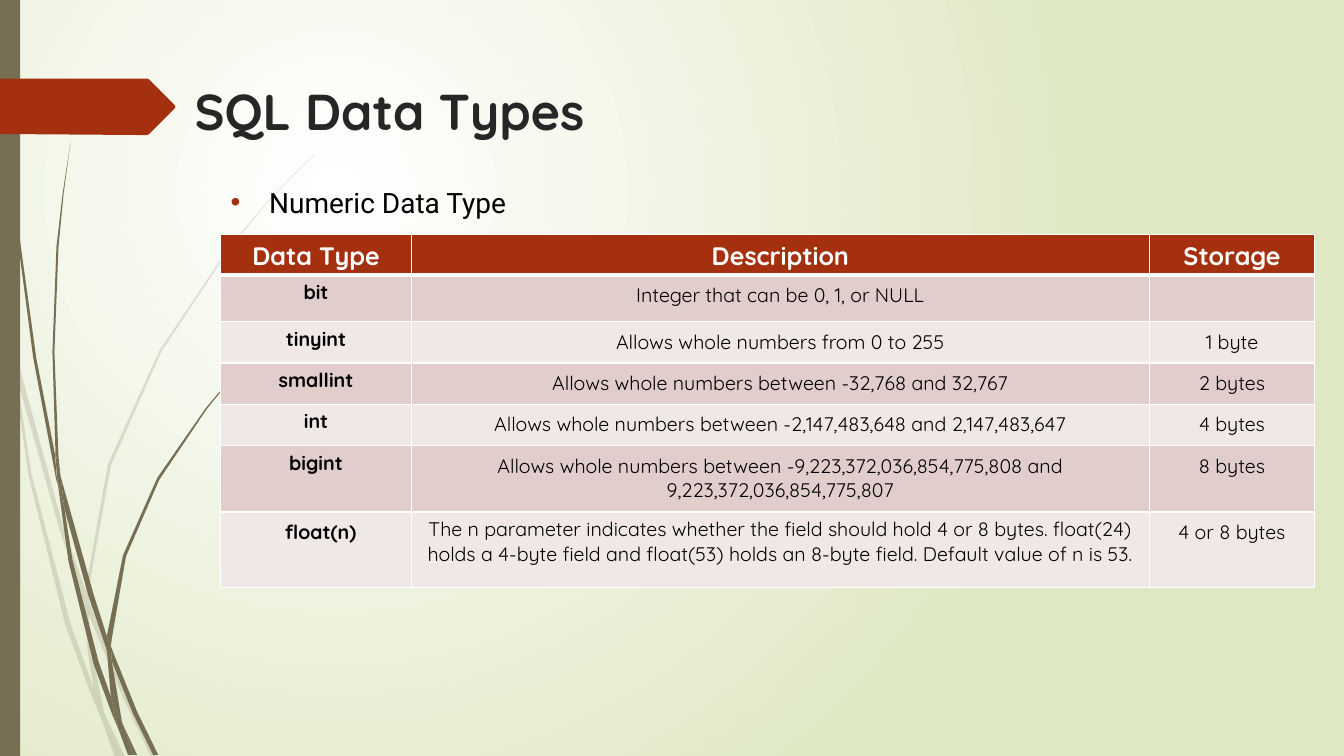
from lxml.etree import SubElement as Sub
from pptx import Presentation
from pptx.dml.color import RGBColor
from pptx.enum.shapes import MSO_SHAPE as Shape
from pptx.enum.text import PP_ALIGN as Align
from pptx.oxml.ns import qn
from pptx.util import Inches, Pt

OLIVE, RUST, WHITE, BLACK = "766F54", "A53010", "FFFFFF", "000000"
UNIT = Inches(0.01)  # drawing grid: a hundredth of an inch


def paint(fill, tone):
    fill.solid()
    fill.fore_color.rgb = RGBColor.from_string(tone)


def write(para, text, tone, form):
    """Add a run whose font takes every value in form."""
    run = para.add_run()
    run.text = text
    for key, val in form.items():
        setattr(run.font, key, val)
    paint(run.font.fill, tone)


deck = Presentation()
deck.slide_width, deck.slide_height = Inches(13.33), Inches(7.5)
slide = deck.slides.add_slide(deck.slide_layouts[6])
shapes = slide.shapes

# Background: white glow fading to pale green
glow = slide.background.fill
glow.gradient()
for stop, tone, place in zip(glow.gradient_stops, (WHITE, "DFE8C4"), (0, 1)):
    stop.color.rgb = RGBColor.from_string(tone)
    stop.position = place
grad = slide.background._cSld.find(".//" + qn("a:gradFill"))
grad.remove(grad.find(qn("a:lin")))
ring = Sub(grad, qn("a:path"), {"path": "circle"})
Sub(ring, qn("a:fillToRect"), {"l": "50000", "t": "50000", "r": "100000", "b": "100000"})

# Grass blades and ribbon: x y pairs on the drawing grid
PALE = [
    "11 350 9 322 0 282 0 299 10 344",
    "58 522 84 599 85 586 62 520 14 345 17 376",
    "92 607 88 596 88 610 123 694 150 751 155 751 127 692",
    "119 751 124 751 105 711",
    "93 683 70 619 31 469 17 376 11 350 28 470 65 621 92 693 101 714 99 707",
    "84 599 87 646 93 683 96 692 105 711 103 706 91 646 88 610 88 608",
    "88 584 110 462 160 349 229 245 268 198 290 175 312 154 312 153 289 175 268 197 "
    "228 244 158 348 107 461 85 584 85 586 88 596",
    "101 714 114 751 119 751",
    "88 608 88 610 88 596 85 586 84 599",
    "96 692 93 683 99 707 101 714 119 751 105 711",
]
DARK = [
    "7 110 17 233 33 355 56 477 57 481 55 457 55 453 36 355 19 232 8 109 5 48 4 0 3 0 4 48",
    "88 592 106 645 106 633 106 631 93 590 60 472 64 505",
    "113 649 110 641 111 656 132 708 152 749 157 749 136 706",
    "110 691 98 657 72 556 64 505 57 477 68 557 93 659 111 708 117 722 116 717",
    "60 472 58 453 54 349 58 245 63 193 70 141 62 193 56 245 52 349 55 449",
    "133 749 136 749 122 719",
    "57 477 64 505 60 472 55 449 55 453",
    "111 633 125 552 158 476 205 406 231 374 245 359 261 344 260 344 245 358 231 373 "
    "204 405 156 474 122 551 106 631 110 641",
    "117 722 127 749 131 749",
    "106 645 110 691 116 706 122 719 121 716 111 656 109 651",
    "106 645 109 651 111 656 110 641 106 631 106 633",
    "116 706 110 691 116 717 117 722 130 749 133 749 122 719",
]
RIBBON = ["0 78 146 78 148 79 173 104 174 106 173 108 148 133 146 134 136 134 0 133"]
BAR = "0 0 20 0 20 750 0 750"

for group, tone, alpha in ((PALE, OLIVE, 20), (DARK, OLIVE, 100), (RIBBON, RUST, 100)):
    if group is RIBBON:
        bar = shapes.add_shape(Shape.RECTANGLE, 0, 0, 20 * UNIT, deck.slide_height)
        paint(bar.fill, OLIVE)
        bar.line.fill.background()
        bar.shadow.inherit = False
    for line in group:
        nums = [int(n) for n in line.split()]
        dots = list(zip(nums[::2], nums[1::2]))
        pen = shapes.build_freeform(*dots[0], scale=UNIT)
        pen.add_line_segments(dots[1:])
        blade = pen.convert_to_shape()
        paint(blade.fill, tone)
        blade.line.fill.background()
        blade.shadow.inherit = False
        if alpha < 100:
            ink = blade._element.spPr.find(qn("a:solidFill"))[0]
            Sub(ink, qn("a:alpha"), {"val": str(alpha * 1000)})

# Title and bullet
HEAD = {"name": "Quicksand", "size": Pt(36), "bold": True}
ITEM = {"name": "Roboto", "size": Pt(20)}
for box, left, text, tone, form in (
    ((1.7, 0.75, 9.75, 1.01), 0.23, "SQL Data Types", "262626", HEAD),
    ((2.19, 1.79, 10.95, 0.45), 0.1, "Numeric Data Type", BLACK, ITEM),
):
    frame = shapes.add_textbox(*map(Inches, box)).text_frame
    frame.word_wrap = True
    frame.margin_left = Inches(left)
    para = frame.paragraphs[0]
    write(para, text, tone, form)
props = para._p.get_or_add_pPr()
dent = Inches(0.38)
props.set("marL", str(dent))
props.set("indent", str(-dent))
Sub(Sub(props, qn("a:buClr")), qn("a:srgbClr"), {"val": RUST})
Sub(props, qn("a:buFont"), {"typeface": "Arial"})
Sub(props, qn("a:buChar"), {"char": "•"})

# Table of numeric types
ROWS = [
    ("Data Type", "Description", "Storage"),
    ("bit", "Integer that can be 0, 1, or NULL", ""),
    ("tinyint", "Allows whole numbers from 0 to 255", "1 byte"),
    ("smallint", "Allows whole numbers between -32,768 and 32,767", "2 bytes"),
    ("int", "Allows whole numbers between -2,147,483,648 and 2,147,483,647", "4 bytes"),
    ("bigint", "Allows whole numbers between -9,223,372,036,854,775,808 and "
     "9,223,372,036,854,775,807", "8 bytes"),
    ("float(n)", "The n parameter indicates whether the field should hold 4 or 8 bytes. "
     "float(24) holds a 4-byte field and float(53) holds an 8-byte field. "
     "Default value of n is 53.", "4 or 8 bytes"),
]
WIDE = (1.89, 7.32, 1.64)
HIGH = (0.38, 0.41, 0.41, 0.41, 0.41, 0.66, 0.75)
SIDES = ("margin_left", "margin_top", "margin_right", "margin_bottom")
last = len(ROWS) - 1
grid = shapes.add_table(len(ROWS), len(WIDE), *map(Inches, (2.19, 2.33, 10.85, 3.43))).table
for col, width in zip(grid.columns, WIDE):
    col.width = Inches(width)
for r, (row, high) in enumerate(zip(ROWS, HIGH)):
    grid.rows[r].height = Inches(high)
    for c, text in enumerate(row):
        cell = grid.cell(r, c)
        for edge in "LRTB":
            thick = 3 if (r, edge) in ((0, "B"), (1, "T")) else 1
            rule = Sub(cell._tc.get_or_add_tcPr(), qn("a:ln" + edge), {"w": str(Pt(thick))})
            Sub(Sub(rule, qn("a:solidFill")), qn("a:srgbClr"), {"val": WHITE})
        paint(cell.fill, RUST if r == 0 else ("F0E8E7", "E1CDCC")[r % 2])
        if r and (c == 2 or (c == 1) != (r == last)):
            for side in SIDES:
                setattr(cell, side, Inches(0.08))
            if c == 0:
                cell.margin_left = Inches(0.17)
        para = cell.text_frame.paragraphs[0]
        para.alignment = Align.CENTER
        if text:
            form = {"name": "Quicksand", "size": Pt(14 if r else 18), "bold": r == 0 or c == 0}
            write(para, text, BLACK if r else WHITE, form)

deck.save("out.pptx")
